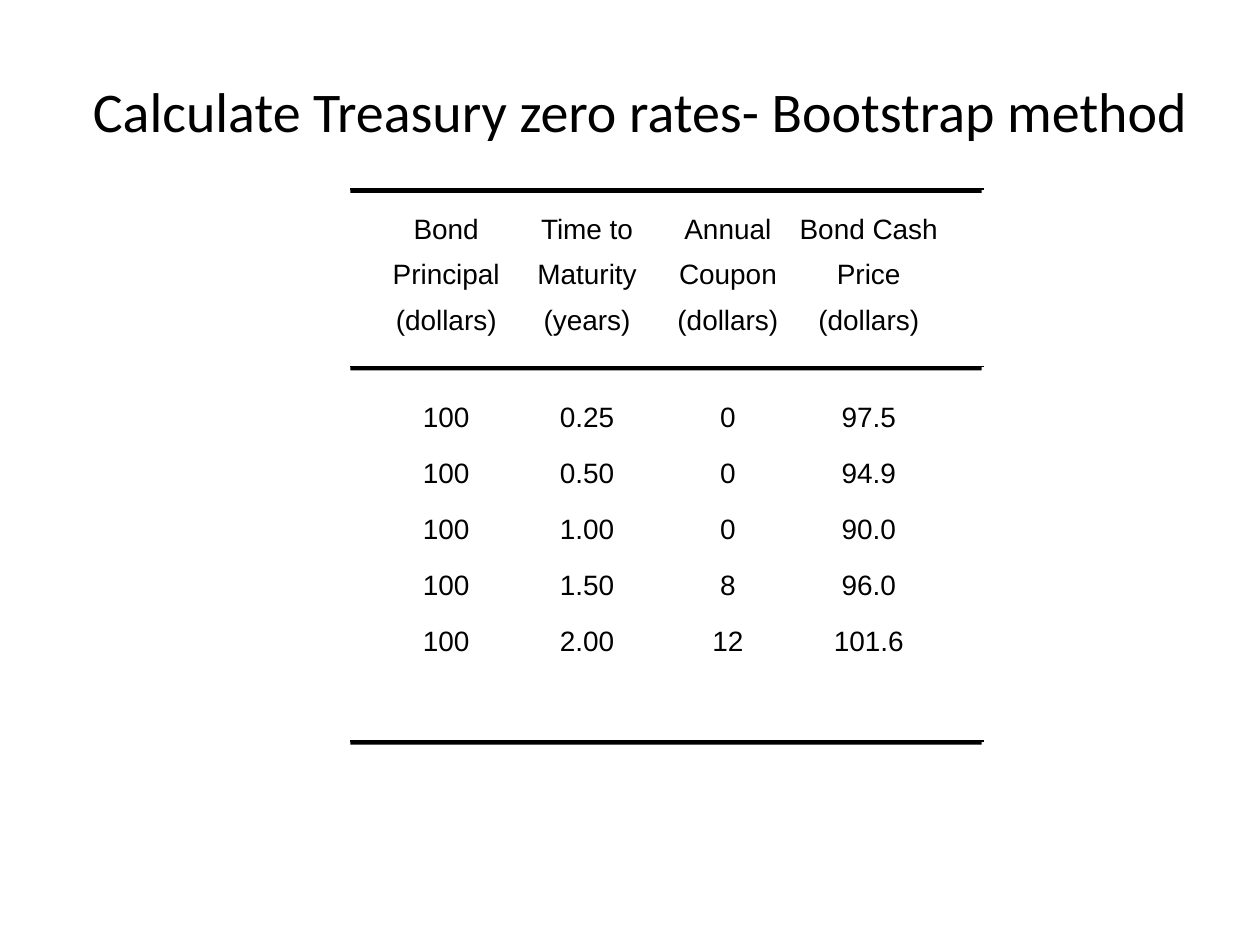
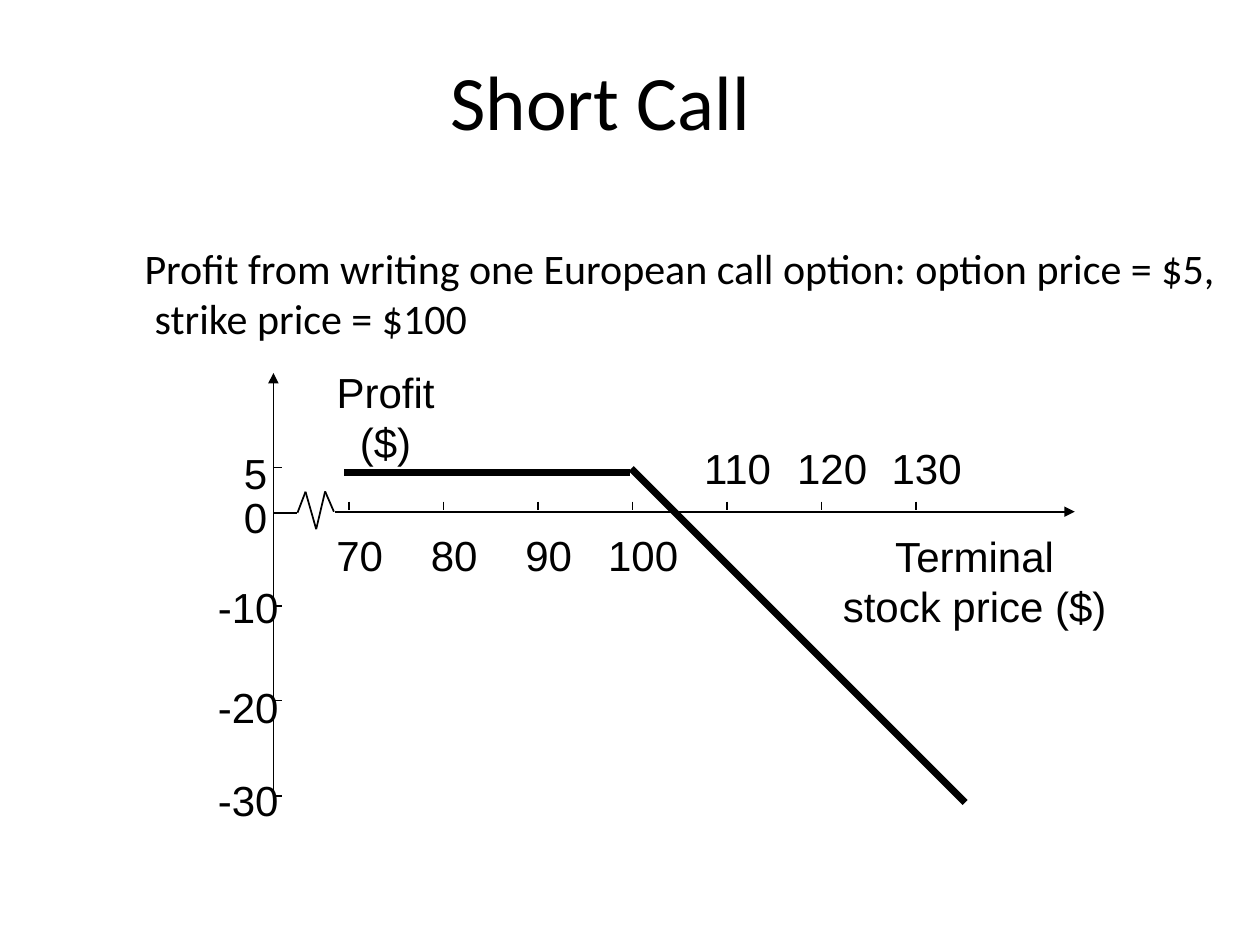
import itertools

import pptx
import pptx.dml.color
import pptx.enum.shapes
import pptx.enum.text
import pptx.oxml
import pptx.oxml.ns
import pptx.util

Pt = pptx.util.Pt
ALIGN = pptx.enum.text.PP_ALIGN
ANCHOR = pptx.enum.text.MSO_ANCHOR
BLACK = "000000"
TITLE_FONT = "Calibri"
LABEL_FONT = "Arial"
TITLE_ONLY = 5

BOND_HEADINGS = [
    "Bond\nPrincipal\n(dollars)",
    "Time to\nMaturity\n(years)",
    "Annual\nCoupon\n(dollars)",
    "Bond Cash\nPrice\n(dollars)",
]
BONDS = [
    ["100", "0.25", "0", "97.5"],
    ["100", "0.50", "0", "94.9"],
    ["100", "1.00", "0", "90.0"],
    ["100", "1.50", "8", "96.0"],
    ["100", "2.00", "12", "101.6"],
]

AXIS_X, AXIS_Y = 156.25, 292.4
PRICE_START, PRICE_STEP = 199.5, 54
# label, centre x of label, top of label
PROFIT_LABELS = [
    ("5", 146, 252),
    ("0", 146, 277.2),
    ("-10", 141.85, 329),
    ("-20", 141.85, 386),
    ("-30", 141.85, 439.2),
]
PROFIT_TICKS = [267.1, 346.3, 400.3, 455]


def colour(code):
    return pptx.dml.color.RGBColor.from_string(code)


def write(frame, text, size, font=LABEL_FONT, align=ALIGN.CENTER, gap=0):
    """Write one paragraph per line of text, with a gap between them."""
    for number, line in enumerate(text.split("\n")):
        para = frame.paragraphs[0] if number == 0 else frame.add_paragraph()
        para.alignment = align
        para.space_before = Pt(gap if number else 0)
        span = para.add_run()
        span.text = line
        for name, value in {"size": Pt(size), "name": font, "bold": False}.items():
            setattr(span.font, name, value)
        span.font.color.rgb = colour(BLACK)


def format_frame(frame, **values):
    for name, value in values.items():
        setattr(frame, name, value)


def add_page(deck, title, place, size, **frame_values):
    page = deck.slides.add_slide(deck.slide_layouts[TITLE_ONLY])
    box = page.shapes.title
    for name, value in zip(("left", "top", "width", "height"), place):
        setattr(box, name, Pt(value))
    format_frame(box.text_frame, word_wrap=True, **frame_values)
    write(box.text_frame, title, size, TITLE_FONT)
    return page


def add_label(page, text, centre, top, width=60, height=36):
    """Add chart text centred on a given x."""
    box = page.shapes.add_textbox(Pt(centre - width / 2), Pt(top), Pt(width), Pt(height))
    box.text_frame.word_wrap = False
    write(box.text_frame, text, 24)


def add_line(page, start, end, width=1, arrow=False):
    line = page.shapes.add_connector(
        pptx.enum.shapes.MSO_CONNECTOR.STRAIGHT, *map(Pt, (*start, *end)))
    line.line.color.rgb = colour(BLACK)
    line.line.width = Pt(width)
    if arrow:
        head = pptx.oxml.parse_xml(
            f'<a:tailEnd {pptx.oxml.ns.nsdecls("a")} type="triangle"/>')
        line.line._get_or_add_ln().append(head)
    effects = pptx.oxml.parse_xml(f'<a:effectLst {pptx.oxml.ns.nsdecls("a")}/>')
    line._element.spPr.append(effects)


def add_rule(page, top):
    """Add a table rule: a black bar with a thin line along its top."""
    add_line(page, (200.2, top), (562.3, top))
    bar = page.shapes.add_shape(
        pptx.enum.shapes.MSO_SHAPE.RECTANGLE, Pt(200.2), Pt(top), Pt(360.7), Pt(2.2))
    bar.shadow.inherit = False
    bar.fill.solid()
    bar.fill.fore_color.rgb = colour(BLACK)
    bar.line.fill.background()


def add_bond_table(page):
    rows = [BOND_HEADINGS] + BONDS
    heights = [115] + [32] * len(BONDS)
    table = page.shapes.add_table(
        len(rows), len(BOND_HEADINGS), Pt(214.75), Pt(108), Pt(322), Pt(sum(heights))).table
    table.first_row = table.horz_banding = False
    for column in table.columns:
        column.width = Pt(80.5)
    for number, (row, height) in enumerate(zip(table.rows, heights)):
        row.height = Pt(height)
        for cell, text in zip(row.cells, rows[number]):
            cell.fill.background()
            format_frame(cell, margin_left=0, margin_right=0, margin_bottom=0,
                         margin_top=0 if number else Pt(14.4),
                         vertical_anchor=ANCHOR.MIDDLE if number else ANCHOR.TOP)
            write(cell.text_frame, text, 16, gap=8.2)


def add_caption(page):
    box = page.shapes.add_textbox(Pt(54), Pt(134.8), Pt(648), Pt(75))
    format_frame(box.text_frame, word_wrap=True, margin_right=Pt(3))
    write(box.text_frame, "Profit from writing one European call option: "
          "option price = $5, strike price = $100", 24, TITLE_FONT, ALIGN.LEFT)
    properties = box.text_frame.paragraphs[0]._p.get_or_add_pPr()
    properties.set("marL", str(Pt(27.36)))
    properties.set("indent", str(Pt(-5.8)))


def add_profit_axis(page):
    for text, centre, top in PROFIT_LABELS:
        add_label(page, text, centre, top)
    add_line(page, (AXIS_X, 464.4), (AXIS_X, 213.1), arrow=True)
    for y in PROFIT_TICKS:
        add_line(page, (AXIS_X, y), (AXIS_X + 5, y))
    add_label(page, "Profit ($)", 220.3, 205.9, 106)


def add_price_axis(page):
    axis_break = [(AXIS_X, 293), (170, 293), (174.6, 281), (180.7, 302.4),
                  (185.8, 280.8), (190.8, AXIS_Y)]
    for start, end in itertools.pairwise(axis_break):
        add_line(page, start, end)
    add_line(page, (191.5, AXIS_Y), (614.2, AXIS_Y), arrow=True)
    for number, price in enumerate(range(70, 140, 10)):
        x = PRICE_START + number * PRICE_STEP
        add_line(page, (x, 286.6), (x, 291.6))
        add_label(page, str(price), x + 6, 298.8 if price <= 100 else 249.1)
    add_label(page, "Terminal\nstock price ($)", 556.9, 299.5, 165, 65)


def add_payoff(page):
    add_line(page, (196.6, 270), (360, 270), width=4)
    add_line(page, (360.7, 267.8), (551.5, 458.6), width=4)


def main():
    deck = pptx.Presentation()
    deck.slide_width, deck.slide_height = Pt(720), Pt(540)

    page = add_page(deck, "Calculate Treasury zero rates- Bootstrap method",
                    (36, 18, 660, 90), 32, vertical_anchor=ANCHOR.MIDDLE)
    add_bond_table(page)
    for top in (108, 209.5, 423.4):
        add_rule(page, top)

    page = add_page(deck, "Short Call", (36, 24, 636, 120), 44,
                    vertical_anchor=ANCHOR.TOP, margin_top=Pt(6.5), margin_right=Pt(29))
    add_caption(page)
    add_profit_axis(page)
    add_price_axis(page)
    add_payoff(page)

    deck.save("out.pptx")


if __name__ == "__main__":
    main()
